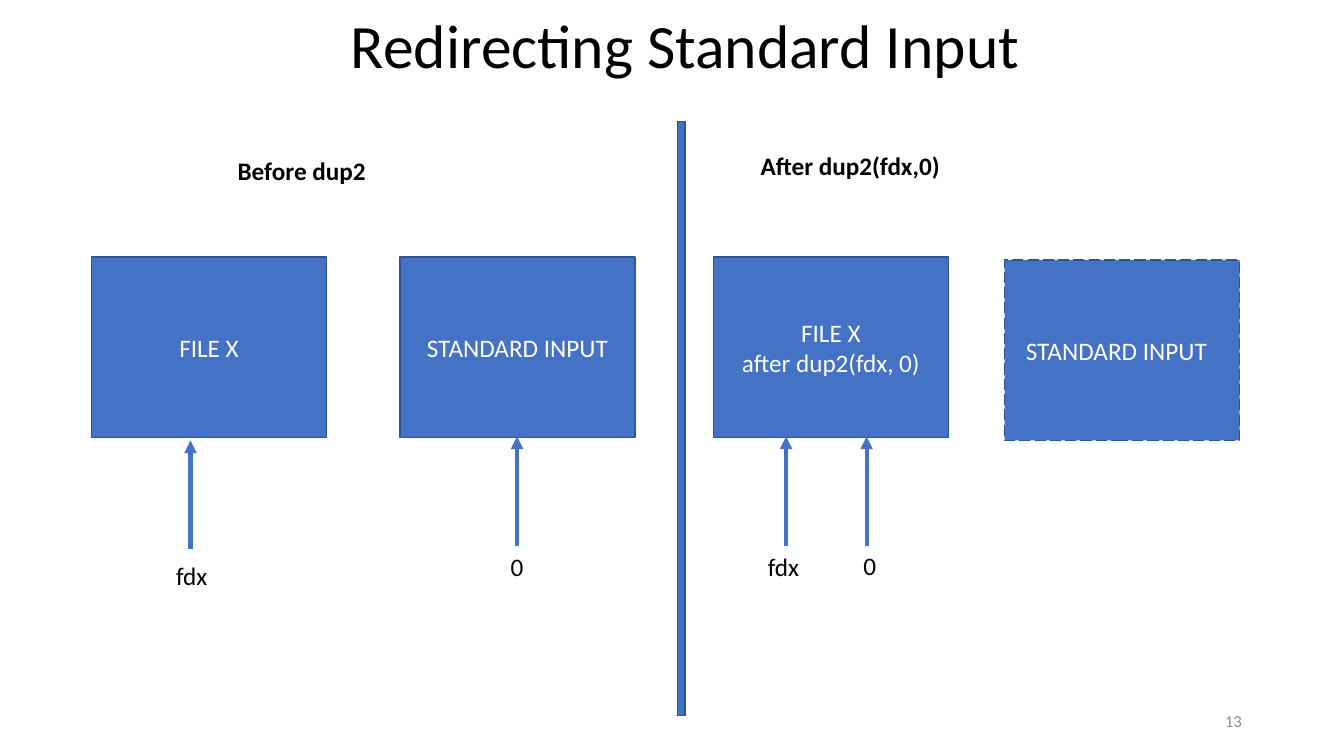
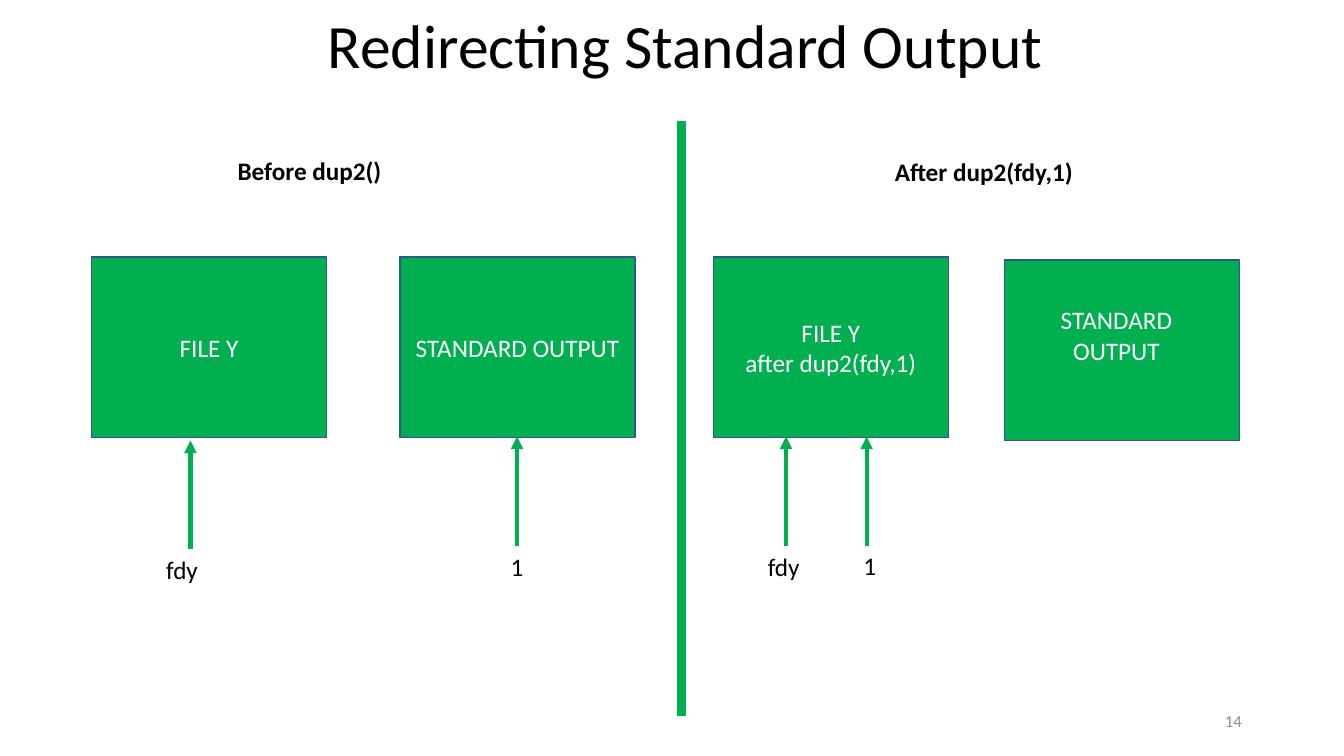
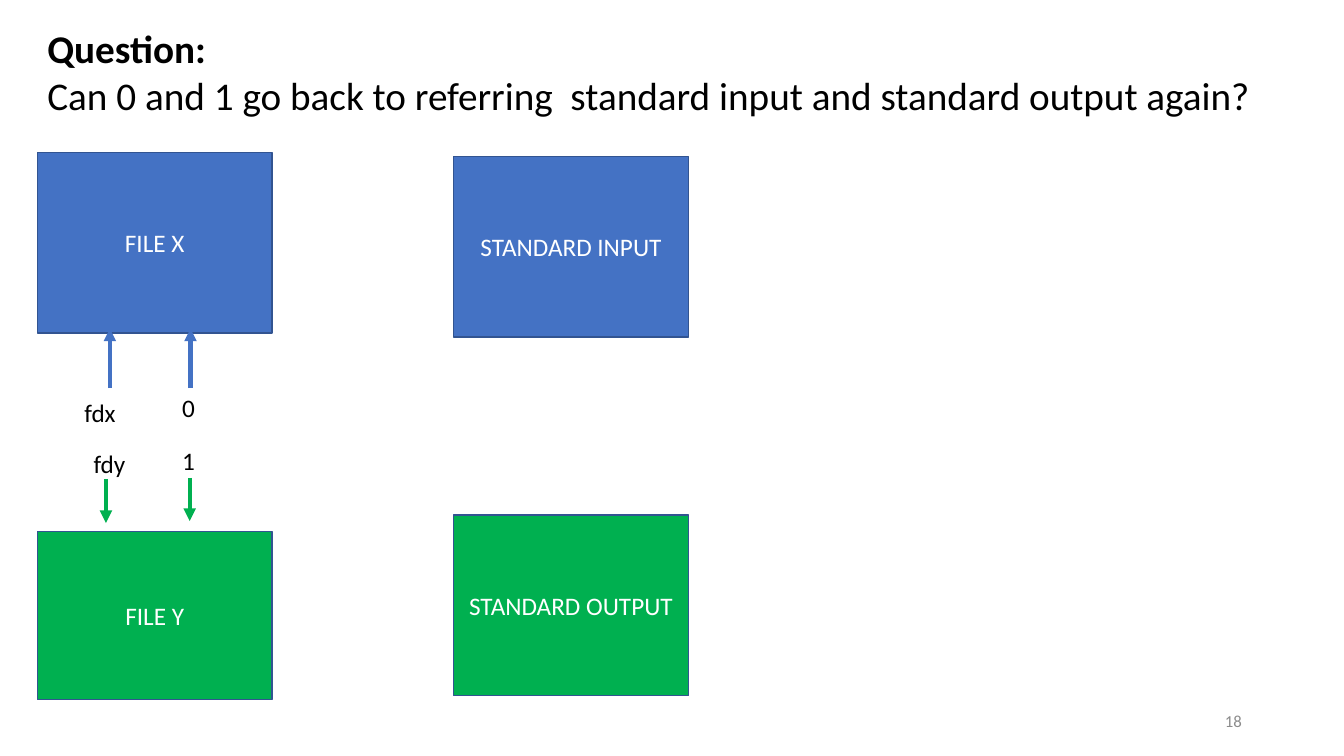
from lxml.etree import SubElement
from pptx import Presentation
from pptx.dml.color import RGBColor
from pptx.enum.dml import MSO_LINE
from pptx.enum.shapes import MSO_CONNECTOR, MSO_SHAPE
from pptx.enum.text import MSO_ANCHOR, MSO_AUTO_SIZE, PP_ALIGN
from pptx.oxml.ns import qn
from pptx.util import Cm, Pt

BLUE, GREEN, OUTLINE = "4472C4", "00B050", "325491"
BLACK, WHITE, GRAY = "000000", "FFFFFF", "8C8C8C"
BOX_W, BOX_H = 5.92, 4.55


def rgb(value):
    return RGBColor.from_string(value)


def write(sp, text, size=18, color=BLACK, align=PP_ALIGN.LEFT, anchor=MSO_ANCHOR.TOP, bold=False):
    tf = sp.text_frame
    tf.text = text
    tf.word_wrap = True
    tf.auto_size = MSO_AUTO_SIZE.NONE
    tf.vertical_anchor = anchor
    for p in tf.paragraphs:
        p.alignment = align
        for r in p.runs:
            r.font.name = "Calibri"
            r.font.size = Pt(size)
            r.font.bold = bold
            r.font.color.rgb = rgb(color)
    return tf


redirects = [
    dict(page="13", title="Redirecting Standard Input", color=BLUE, edge=OUTLINE,
         file="FILE X", stream="STANDARD INPUT", call="after dup2(fdx, 0)", fd="fdx", num="0",
         fd_at=(4.19, 14), before="Before dup2", after="After dup2(fdx,0)", after_at=(18.92, 3.66),
         dashed=True),
    dict(page="14", title="Redirecting Standard Output", color=GREEN, edge=GREEN,
         file="FILE Y", stream="STANDARD OUTPUT", call="after dup2(fdy,1)", fd="fdy", num="1",
         fd_at=(3.94, 13.84), before="Before dup2()", after="After dup2(fdy,1)", after_at=(22.3, 3.81),
         dashed=False),
]

deck = []
for d in redirects:
    color = d["color"]
    deck.append(dict(
        d,
        boxes=[(d["file"], 2.31, 6.48, BOX_H, color),
               (d["stream"], 10.08, 6.48, BOX_H, color),
               (d["file"] + "\n" + d["call"], 17.98, 6.48, BOX_H, color),
               (d["stream"], 25.32, 6.55, BOX_H, color)],
        arrows=[(4.8, 13.84, 11.1, color)] + [(x, 13.77, 11, color) for x in (13.03, 19.81, 21.84)],
        labels=[(d["fd"], *d["fd_at"], False), (d["num"], 12.62, 13.77, False),
                (d["fd"], 19.1, 13.77, False), (d["num"], 21.51, 13.74, False),
                (d["before"], 5.74, 3.78, True), (d["after"], *d["after_at"], True)],
    ))
deck.append(dict(
    page="18",
    title="Question:\nCan 0 and 1 go back to referring  standard input and standard output again?",
    boxes=[("FILE X", 0.94, 3.84, BOX_H, BLUE), ("STANDARD INPUT", 11.43, 3.94, BOX_H, BLUE),
           ("FILE Y", 0.94, 13.39, 4.24, GREEN), ("STANDARD OUTPUT", 11.43, 12.98, BOX_H, GREEN)],
    arrows=[(2.77, 9.78, 8.28, BLUE), (4.8, 9.78, 8.28, BLUE),
            (2.67, 12.07, 13.18, GREEN), (4.78, 12.04, 13.13, GREEN)],
    labels=[("fdx", 1.88, 9.88, False), ("0", 4.34, 9.75, False),
            ("fdy", 2.11, 11.18, False), ("1", 4.34, 11.1, False)],
))

prs = Presentation()
prs.slide_width, prs.slide_height = Cm(33.87), Cm(19.05)

for d in deck:
    s = prs.slides.add_slide(prs.slide_layouts[5])
    redirect = "stream" in d
    sp = s.shapes.title
    if redirect:
        sp.left, sp.top, sp.width, sp.height = Cm(2.67), Cm(0.2), Cm(29.21), Cm(2.06)
        tf = write(sp, d["title"], 44, align=PP_ALIGN.CENTER, anchor=MSO_ANCHOR.MIDDLE)
        tf.paragraphs[0].line_spacing = 0.9
    else:
        sp.left, sp.top, sp.width, sp.height = Cm(0.94), Cm(0.48), Cm(32.33), Cm(2.64)
        tf = write(sp, d["title"], 28)
        tf.paragraphs[0].runs[0].font.bold = True

    sp = s.shapes.add_textbox(Cm(23.93), Cm(17.65), Cm(7.62), Cm(1.02))
    write(sp, d["page"], 12, GRAY, PP_ALIGN.RIGHT, MSO_ANCHOR.MIDDLE)

    rects = [(text, x, y, BOX_W, h, color, OUTLINE) for text, x, y, h, color in d["boxes"]]
    if redirect:
        rects.insert(0, ("", 17.07, 3.07, 0.19, 14.96, d["color"], d["edge"]))
    for text, x, y, w, h, color, edge in rects:
        sp = s.shapes.add_shape(MSO_SHAPE.RECTANGLE, Cm(x), Cm(y), Cm(w), Cm(h))
        sp.shadow.inherit = False
        sp.fill.solid()
        sp.fill.fore_color.rgb = rgb(color)
        sp.line.color.rgb = rgb(edge)
        sp.line.width = Pt(1)
        if text:
            tf = write(sp, text, color=WHITE, align=PP_ALIGN.CENTER, anchor=MSO_ANCHOR.MIDDLE)
    if redirect:
        tf.margin_right = Cm(0.54)
        if d["dashed"]:
            sp.line.dash_style = MSO_LINE.LONG_DASH
        else:
            tf.margin_bottom = Cm(0.9)

    for x, start, end, color in d["arrows"]:
        c = s.shapes.add_connector(MSO_CONNECTOR.STRAIGHT, Cm(x), Cm(start), Cm(x), Cm(end))
        c.line.color.rgb = rgb(color)
        c.line.width = Pt(3)
        SubElement(c.line._get_or_add_ln(), qn("a:tailEnd"), type="triangle")
        SubElement(c._element.spPr, qn("a:effectLst"))

    for text, x, y, bold in d["labels"]:
        sp = s.shapes.add_textbox(Cm(x), Cm(y), Cm(5.8 if bold else 2.13), Cm(1.02))
        write(sp, text, bold=bold)

prs.save("out.pptx")
